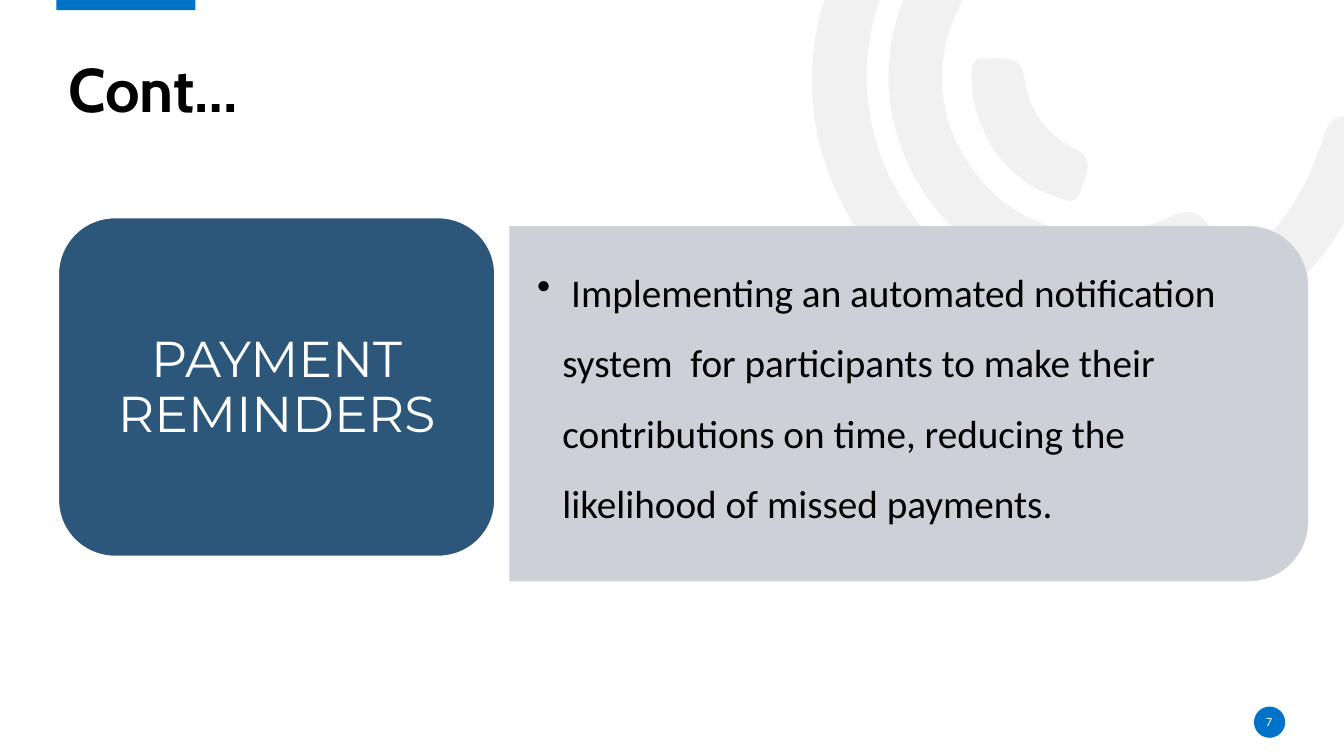
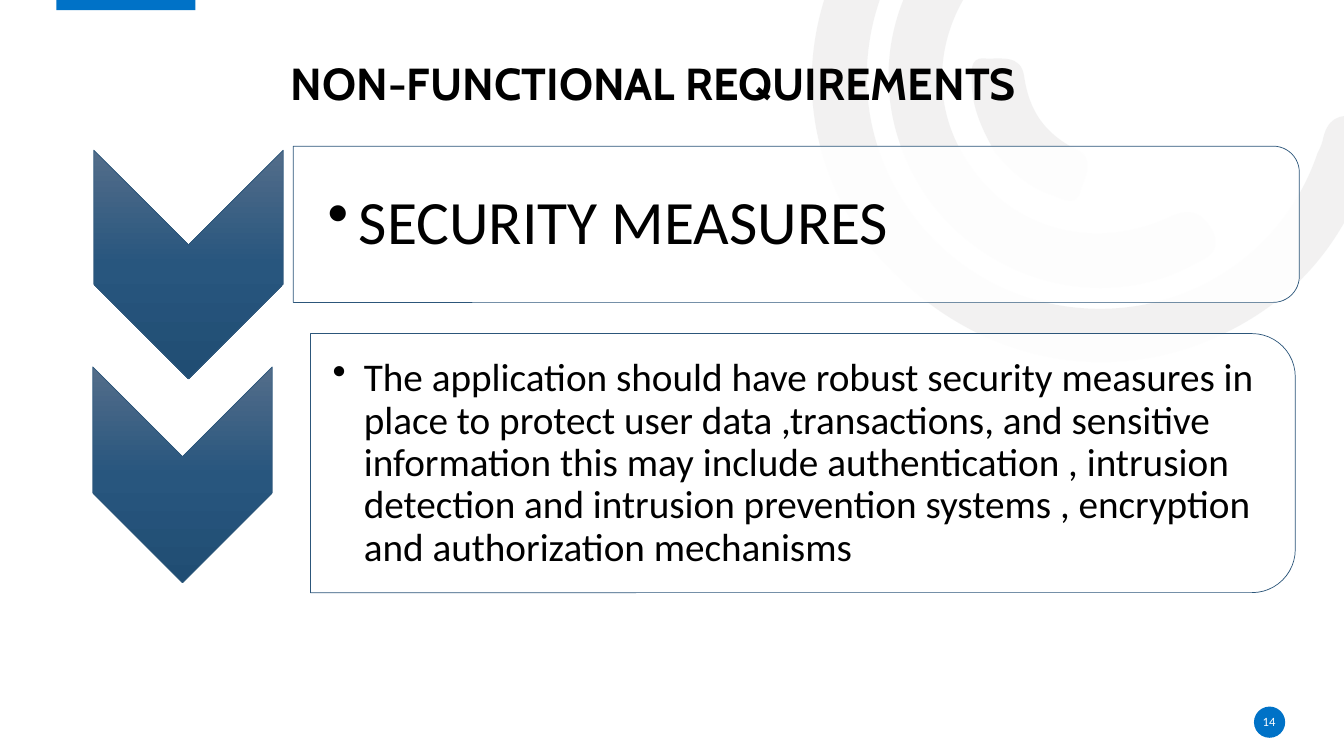
import math

import pptx
import pptx.util
import pptx.dml.color
import pptx.enum.shapes
import pptx.enum.text
import pptx.oxml
import pptx.oxml.ns

Inches = pptx.util.Inches
Pt = pptx.util.Pt
RGBColor = pptx.dml.color.RGBColor
SHAPE = pptx.enum.shapes.MSO_SHAPE
ANCHOR = pptx.enum.text.MSO_ANCHOR
ALIGN = pptx.enum.text.PP_ALIGN
qn = pptx.oxml.ns.qn
NS = pptx.oxml.ns.nsdecls("a")

BLACK = RGBColor(0x00, 0x00, 0x00)
WHITE = RGBColor(0xFF, 0xFF, 0xFF)
BRIGHT_BLUE = RGBColor(0x00, 0x72, 0xC7)
NAVY = RGBColor(0x2C, 0x56, 0x7A)
PALE = RGBColor(0xCD, 0xD1, 0xD7)
SWIRL_GREY = RGBColor(0xE7, 0xE6, 0xE6)
CHEVRON_STOPS = [
    (0, RGBColor(0x53, 0x6D, 0x8A)),
    (50, RGBColor(0x28, 0x56, 0x7E)),
    (100, RGBColor(0x20, 0x4D, 0x73)),
]

TITLE_FONT = {"name": "Cabin", "bold": True}
BODY_FONT = {"name": "Calibri"}
LABEL_FONT = {"name": "Montserrat", "size": Pt(36)}
NUMBER_FONT = {"name": "Calibri", "size": Pt(9)}
DEFAULT_INSETS = (0.1, 0.05, 0.1, 0.05)
NO_INSETS = (0, 0, 0, 0)

SWIRL_TURN = 144.2
SWIRLS = [
    ((8.13, -2.02, 4.85, 6), (8.51, 2.29), [
        (7.99, 1.49, 7.87, 0.5, 8.38, -0.5),
        (8.9, -1.52, 9.76, -2.03, 10.9, -2.07),
        (11.05, -2.07, 11.21, -2.1, 11.31, -1.95),
        (11.44, -1.75, 11.27, -1.54, 10.98, -1.54),
        (9.67, -1.54, 8.65, -0.59, 8.6, 0.68),
        (8.56, 1.81, 9.36, 2.81, 10.46, 3.02),
        (11.6, 3.24, 12.7, 2.61, 13.07, 1.52),
        (13.09, 1.48, 13.11, 1.44, 13.12, 1.4),
        (13.16, 1.19, 13.27, 1.11, 13.49, 1.17),
        (13.73, 1.24, 13.67, 1.41, 13.61, 1.56),
        (13.34, 2.45, 12.78, 3.07, 11.91, 3.41),
        (10.7, 3.87, 9.36, 3.45, 8.51, 2.29),
    ]),
    ((9.01, -0.78, 2.13, 4.26), (9.22, 1.99), [
        (8.62, 1.15, 8.69, 0.07, 9.4, -0.68),
        (9.51, -0.79, 9.62, -0.95, 9.8, -0.78),
        (9.95, -0.64, 9.97, -0.5, 9.79, -0.32),
        (9.25, 0.26, 9.2, 1.08, 9.65, 1.68),
        (10.08, 2.29, 10.88, 2.49, 11.61, 2.15),
        (11.82, 2.05, 11.93, 2.12, 12.03, 2.29),
        (12.13, 2.5, 11.97, 2.56, 11.83, 2.63),
        (10.96, 3.1, 9.83, 2.82, 9.22, 1.99),
    ]),
    ((9.8, 0.37, 0.78, 1.83), (9.87, 1.51), [
        (9.75, 1.3, 9.64, 1.07, 9.64, 0.82),
        (9.64, 0.73, 9.61, 0.57, 9.76, 0.58),
        (9.92, 0.59, 10.13, 0.53, 10.16, 0.76),
        (10.21, 1.1, 10.36, 1.32, 10.67, 1.48),
        (10.88, 1.57, 10.76, 1.76, 10.72, 1.89),
        (10.68, 2.06, 10.55, 1.98, 10.45, 1.94),
        (10.21, 1.87, 10.03, 1.7, 9.87, 1.51),
    ]),
]


def set_values(obj, values):
    for name, value in values.items():
        setattr(obj, name, value)


def paint(sp, fill, line=None, width=1, alpha=100):
    sp.shadow.inherit = False
    sp.fill.solid()
    sp.fill.fore_color.rgb = fill
    if alpha < 100:
        clr = sp._element.spPr.find(qn("a:solidFill"))[0]
        clr.append(pptx.oxml.parse_xml(f'<a:alpha {NS} val="{alpha * 1000}"/>'))
    if line is None:
        sp.line.fill.background()
    else:
        sp.line.color.rgb = line
        sp.line.width = Pt(width)


def add_shape(s, kind, box, fill, **look):
    sp = s.shapes.add_shape(kind, *map(Inches, box))
    paint(sp, fill, **look)
    return sp


def add_turned(s, kind, box, fill, **look):
    left, top, width, height = box
    shift = (width - height) / 2
    sp = add_shape(s, kind, (left + shift, top - shift, height, width), fill, **look)
    sp.rotation = 90
    return sp


def write(sp, text, font, color, insets=DEFAULT_INSETS, anchor=ANCHOR.MIDDLE,
          align=ALIGN.CENTER, spacing=1.0):
    tf = sp.text_frame
    sides = ("margin_left", "margin_top", "margin_right", "margin_bottom")
    set_values(tf, dict(zip(sides, map(Inches, insets))))
    set_values(tf, {"word_wrap": True, "vertical_anchor": anchor})
    p = tf.paragraphs[0]
    set_values(p, {"alignment": align, "line_spacing": spacing})
    r = p.add_run()
    r.text = text
    set_values(r.font, font)
    r.font.color.rgb = color
    return p


def add_text(s, box, text, font, color, **layout):
    sp = s.shapes.add_textbox(*map(Inches, box))
    return write(sp, text, font, color, **layout)


def add_bullet(s, box, text, size, indent, insets, spacing=0.9):
    p = add_text(s, box, text, {**BODY_FONT, "size": Pt(size)}, BLACK,
                 insets=insets, align=ALIGN.LEFT, spacing=spacing)
    pPr = p._p.get_or_add_pPr()
    pPr.set("marL", str(Inches(indent)))
    pPr.set("indent", str(-Inches(indent)))
    pPr.append(pptx.oxml.parse_xml(f'<a:buChar {NS} char="••"/>'))


def add_title(s, box, text, size, **layout):
    add_text(s, box, text, {**TITLE_FONT, "size": Pt(size)}, BLACK, **layout)


def add_chevron(s, box):
    sp = add_turned(s, SHAPE.CHEVRON, box, NAVY, line=NAVY, width=0.5)
    stops = "".join(
        f'<a:gs pos="{pos * 1000}"><a:srgbClr val="{color}"/></a:gs>'
        for pos, color in CHEVRON_STOPS)
    grad = pptx.oxml.parse_xml(
        f'<a:gradFill {NS} rotWithShape="0"><a:gsLst>{stops}</a:gsLst>'
        '<a:lin ang="5400000" scaled="0"/></a:gradFill>')
    spPr = sp._element.spPr
    spPr.replace(spPr.find(qn("a:solidFill")), grad)


def local_point(x, y, box):
    left, top, width, height = box
    dx, dy = x - left - width / 2, y - top - height / 2
    turn = math.radians(SWIRL_TURN)
    return (Inches(width / 2 + dx * math.cos(turn) + dy * math.sin(turn)),
            Inches(height / 2 - dx * math.sin(turn) + dy * math.cos(turn)))


def point_xml(x, y, box):
    px, py = local_point(x, y, box)
    return f'<a:pt x="{px}" y="{py}"/>'


def add_swirl(s, box, start, curves):
    builder = s.shapes.build_freeform(*map(Inches, start))
    builder.add_line_segments([tuple(map(Inches, c[4:])) for c in curves])
    sp = builder.convert_to_shape()
    left, top, width, height = map(Inches, box)
    set_values(sp, {"left": left, "top": top, "width": width, "height": height,
                    "rotation": SWIRL_TURN})
    bends = "".join(
        "<a:cubicBezTo>"
        + "".join(point_xml(c[i], c[i + 1], box) for i in (0, 2, 4))
        + "</a:cubicBezTo>"
        for c in curves)
    outline = pptx.oxml.parse_xml(
        f'<a:path {NS} w="{width}" h="{height}">'
        f'<a:moveTo>{point_xml(*start, box)}</a:moveTo>{bends}<a:close/></a:path>')
    paths = sp._element.spPr.find(qn("a:custGeom")).find(qn("a:pathLst"))
    paths.replace(paths[0], outline)
    paint(sp, SWIRL_GREY, alpha=53)


def add_slide(prs, number):
    s = prs.slides.add_slide(prs.slide_layouts[6])
    for box, start, curves in SWIRLS:
        add_swirl(s, box, start, curves)
    add_shape(s, SHAPE.RECTANGLE, (0.56, -0.02, 1.38, 0.12), BRIGHT_BLUE)
    add_shape(s, SHAPE.OVAL, (12.44, 7.01, 0.31, 0.31), BRIGHT_BLUE)
    add_text(s, (12.43, 7.06, 0.32, 0.2), str(number), NUMBER_FONT, WHITE,
             insets=NO_INSETS)
    return s


def build_reminders(prs):
    s = add_slide(prs, 7)
    add_turned(s, SHAPE.ROUND_2_SAME_RECTANGLE, (5.06, 2.25, 7.91, 3.51), PALE,
               line=PALE)
    add_bullet(s, (5.06, 2.06, 7.84, 3.53),
               " Implementing an automated notification system  for participants "
               "to make their contributions on time, reducing the likelihood of "
               "missed payments.",
               28, 0.25, (0.27, 0.14, 0.27, 0.14), spacing=1.5)
    label = add_shape(s, SHAPE.ROUNDED_RECTANGLE, (0.58, 2.16, 4.33, 3.36), NAVY,
                      line=WHITE)
    write(label, "PAYMENT REMINDERS", LABEL_FONT, WHITE,
          insets=(0, 0.03, 0, 0), spacing=0.9)
    add_title(s, (0.58, 0.46, 3.67, 0.84), "Cont…", 44,
              align=ALIGN.LEFT, anchor=ANCHOR.TOP)


def build_requirements(prs):
    s = add_slide(prs, 14)
    add_title(s, (0.39, 0.08, 12.19, 1.01), "NON-FUNCTIONAL REQUIREMENTS", 32,
              insets=NO_INSETS, anchor=ANCHOR.BOTTOM, spacing=0.9)
    rows = [
        ((0.93, 1.49, 1.88, 2.27), (2.91, 1.45, 9.98, 1.55), (2.91, 1.53, 9.9, 1.4),
         "SECURITY MEASURES", 44, (0.34, 0.03, 0.03, 0.03)),
        ((0.92, 3.64, 1.78, 2.14), (3.08, 3.31, 9.77, 2.57), (3.08, 3.44, 9.64, 2.32),
         "The application should have robust security measures in place to protect "
         "user data ,transactions, and sensitive information this may include "
         "authentication , intrusion detection and intrusion prevention systems , "
         "encryption and authorization mechanisms", 28, (0.22, 0.02, 0.02, 0.02)),
    ]
    for chevron, panel, text_box, text, size, insets in rows:
        add_chevron(s, chevron)
        add_turned(s, SHAPE.ROUND_2_SAME_RECTANGLE, panel, WHITE,
                   line=NAVY, width=0.5, alpha=90)
        add_bullet(s, text_box, text, size, 0.31, insets)


def main():
    prs = pptx.Presentation()
    set_values(prs, {"slide_width": Inches(40 / 3), "slide_height": Inches(7.5)})
    build_reminders(prs)
    build_requirements(prs)
    prs.save("out.pptx")


if __name__ == "__main__":
    main()
